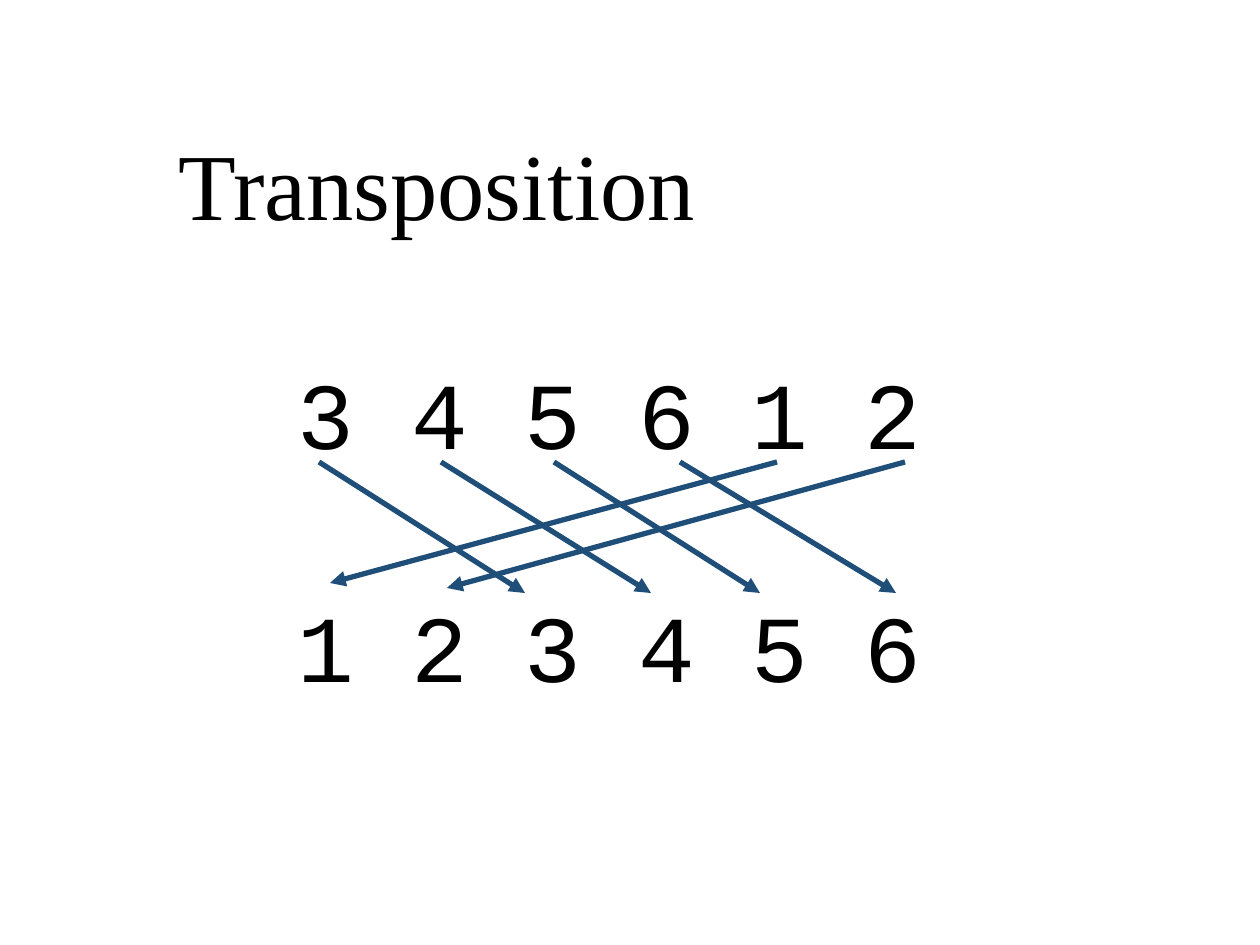
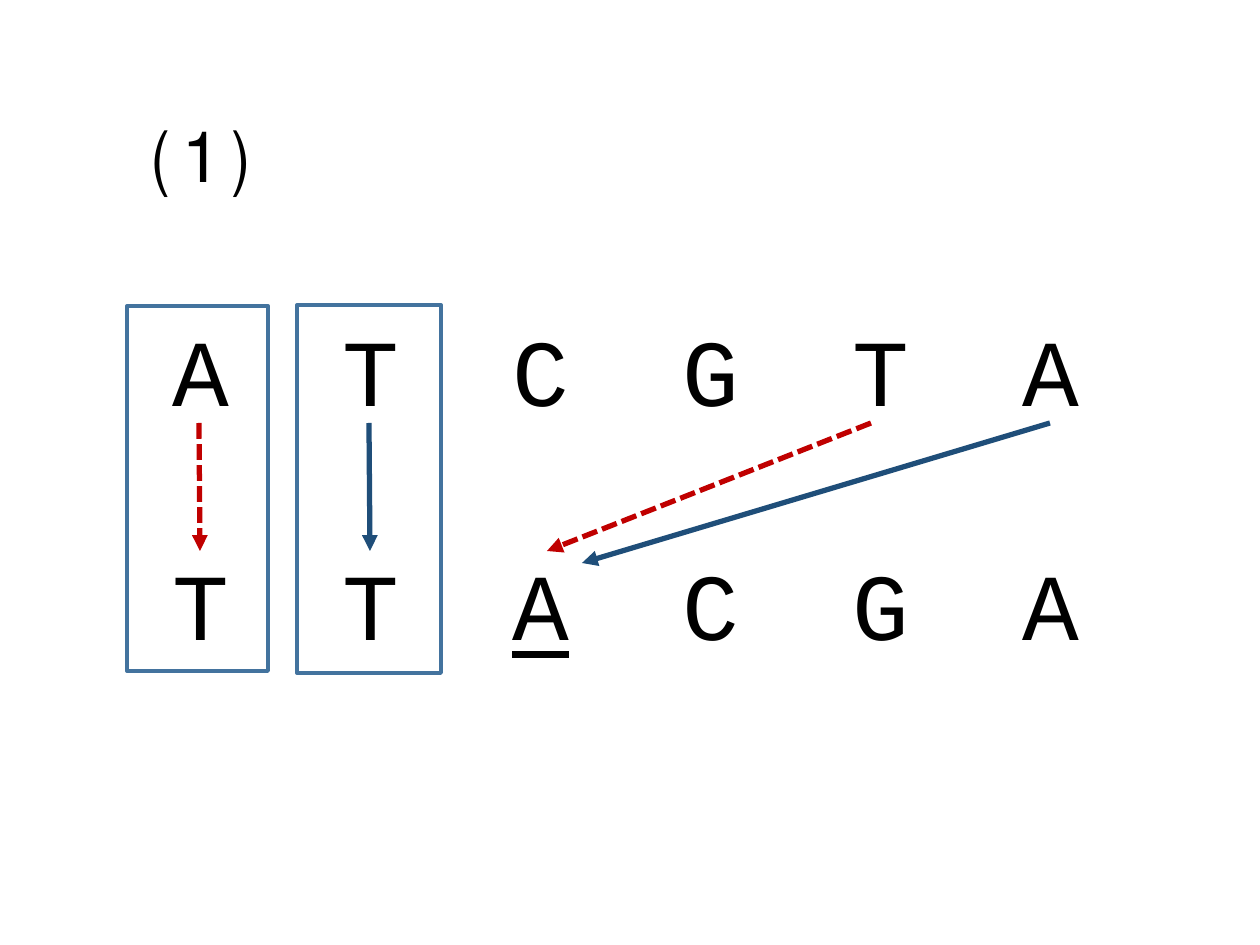
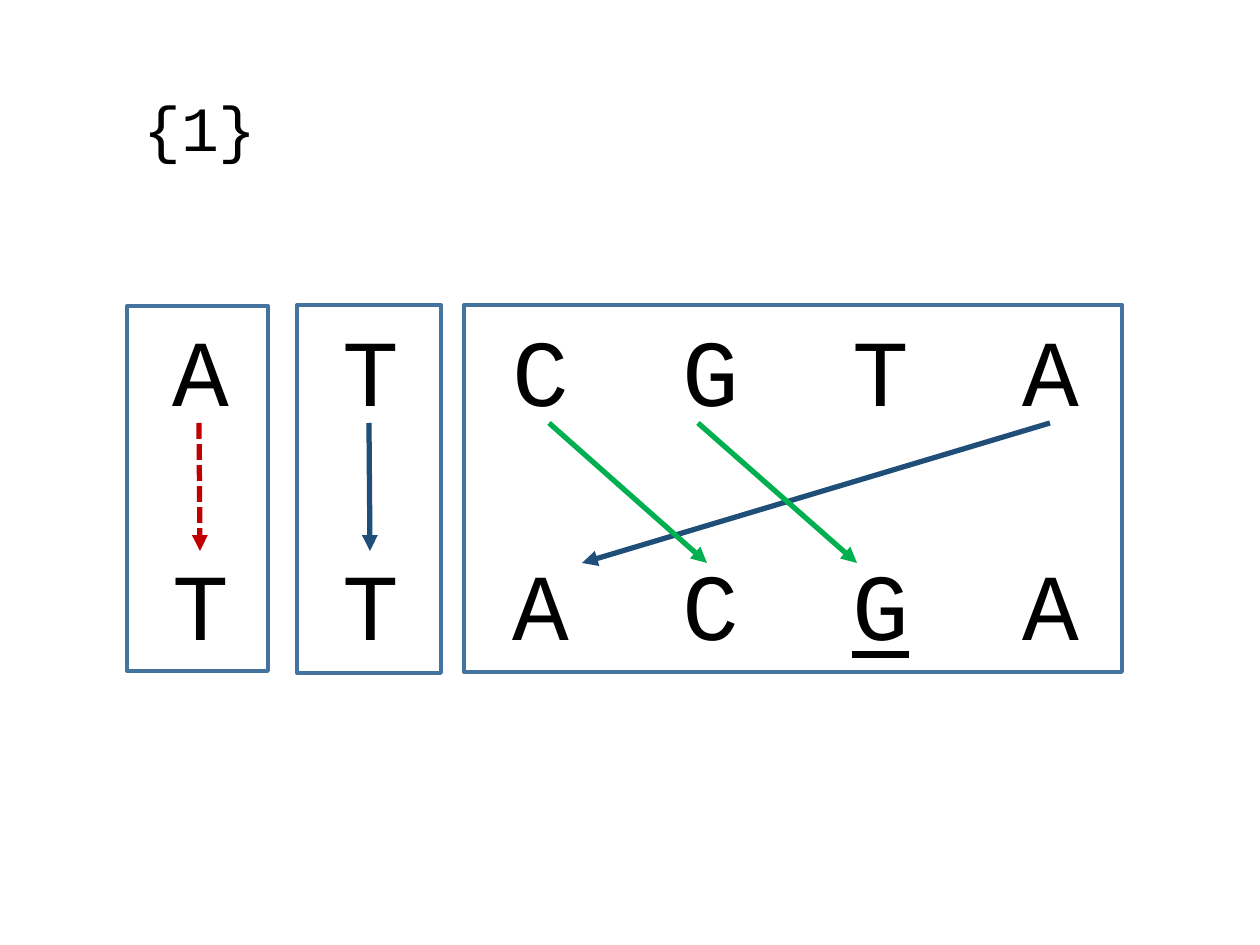
from lxml.etree import SubElement
from pptx import Presentation
from pptx.dml.color import RGBColor
from pptx.enum.dml import MSO_LINE
from pptx.enum.shapes import MSO_CONNECTOR, MSO_SHAPE
from pptx.enum.text import MSO_ANCHOR, MSO_AUTO_SIZE, PP_ALIGN
from pptx.oxml.ns import qn
from pptx.util import Emu, Pt

PX = 914400 / 126  # EMU in one px
COLORS = {"text": "000000", "blue": "1F4E79", "red": "C00000",
          "green": "00B050", "frame": "43739E"}
MONO = "Courier New"
LETTER_PITCH = 170
ROW_GAP = Pt(68.5)

# Per slide: title, its place, font and size
TITLES = [
    ("Transposition", (165, 120, 544, 127), "Times New Roman", 54),
    ("⑴", (140, 82, 121, 127), "Calibri", 54),
    ("{1}", (130, 82, 140, 89), MONO, 36),
]

# Per slide: top row, bottom row, separator, underlined bottom index, place, left inset
ROWS = [
    ("345612", "123456", " ", None, (285, 349, 655, 357), 13),
    ("ATCGTA", "TTACGA", "\t", 2, (155, 306, 941, 357), 17),
    ("ATCGTA", "TTACGA", "\t", 4, (155, 306, 941, 357), 17),
]

# Frames around the matched letters
PAIR_FRAMES = [(127, 306, 141, 365), (297, 305, 144, 368)]
FRAMES = [[], PAIR_FRAMES, PAIR_FRAMES + [(464, 305, 658, 367)]]

# Arrows: start x, start y, end x, end y, colour; red ones are dashed
SHARED_ARROWS = [
    (199, 423, 200, 551, "red"),
    (369, 423, 370, 551, "blue"),
    (1050, 423, 582, 563, "blue"),
]
ARROWS = [
    [
        (554, 462, 760, 593, "blue"),
        (680, 462, 896, 593, "blue"),
        (319, 462, 525, 593, "blue"),
        (441, 462, 651, 593, "blue"),
        (777, 462, 330, 583, "blue"),
        (905, 462, 447, 588, "blue"),
    ],
    SHARED_ARROWS + [(871, 423, 547, 551, "red")],
    SHARED_ARROWS + [(549, 423, 707, 563, "green"), (698, 423, 857, 563, "green")],
]


def emu(*lengths):
    return [Emu(round(length * PX)) for length in lengths]


def style_font(para, name, size):
    para.font.name = name
    para.font.size = Pt(size)
    para.font.color.rgb = RGBColor.from_string(COLORS["text"])


deck = Presentation()
deck.slide_width, deck.slide_height = emu(1260, 945)

for title_data, row_data, frames, arrows in zip(TITLES, ROWS, FRAMES, ARROWS):
    page = deck.slides.add_slide(deck.slide_layouts[5])

    # Title
    text, place, font_name, size = title_data
    title = page.shapes.title
    title.left, title.top, title.width, title.height = emu(*place)
    frame = title.text_frame
    frame.text = text
    frame.word_wrap = False
    frame.auto_size = MSO_AUTO_SIZE.NONE
    frame.vertical_anchor = MSO_ANCHOR.TOP
    frame.paragraphs[0].alignment = PP_ALIGN.CENTER
    style_font(frame.paragraphs[0], font_name, size)

    # Two rows of letters, spaced by tab stops where the separator is a tab
    top_row, bottom_row, separator, underlined, place, inset = row_data
    box = page.shapes.add_textbox(*emu(*place))
    frame = box.text_frame
    frame.word_wrap = True
    frame.margin_left = emu(inset)[0]
    top_para, bottom_para = frame.paragraphs[0], frame.add_paragraph()
    bottom_para.space_before = ROW_GAP
    for para, letters in ((top_para, top_row), (bottom_para, bottom_row)):
        if separator == "\t":
            tabs = SubElement(para._p.get_or_add_pPr(), qn("a:tabLst"))
            for column in range(1, len(letters)):
                position = emu(column * LETTER_PITCH)[0]
                SubElement(tabs, qn("a:tab"), pos=str(position), algn="l")
        style_font(para, MONO, 54)
        line = separator.join(letters)
        if para is top_para or underlined is None:
            para.add_run().text = line
            continue
        mark = 2 * underlined
        for part in (line[:mark], line[mark], line[mark + 1:]):
            span = para.add_run()
            span.text = part
            span.font.underline = part == line[mark]

    # Frames
    for place in frames:
        outline = page.shapes.add_shape(MSO_SHAPE.RECTANGLE, *emu(*place))
        outline.shadow.inherit = False
        outline.fill.background()
        outline.line.color.rgb = RGBColor.from_string(COLORS["frame"])
        outline.line.width = Pt(2.25)

    # Arrows
    for *ends, color in arrows:
        arrow = page.shapes.add_connector(MSO_CONNECTOR.STRAIGHT, *emu(*ends))
        arrow.line.color.rgb = RGBColor.from_string(COLORS[color])
        arrow.line.width = Pt(3)
        if color == "red":
            arrow.line.dash_style = MSO_LINE.SQUARE_DOT
        SubElement(arrow.line._get_or_add_ln(), qn("a:tailEnd"), type="triangle")
        SubElement(arrow._element.spPr, qn("a:effectLst"))

deck.save("out.pptx")
